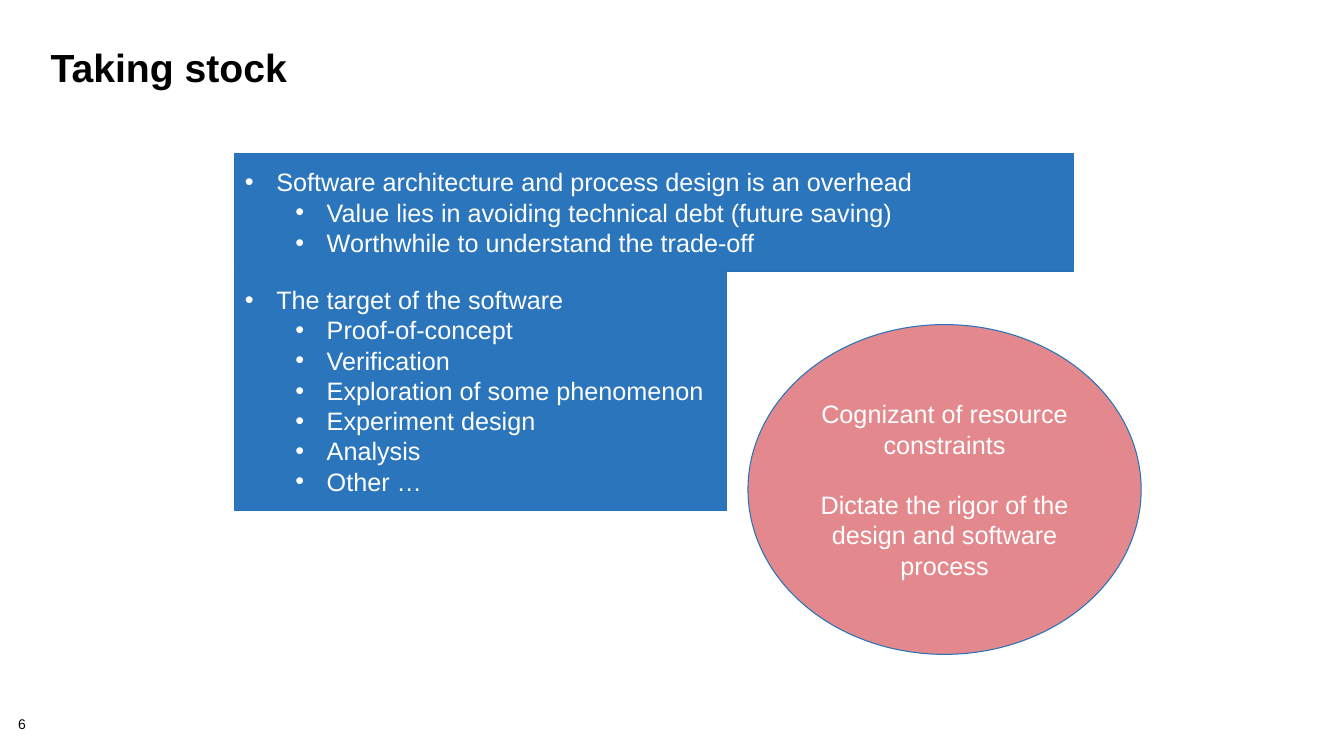
from dataclasses import dataclass
from typing import Any

import lxml.etree
import pptx
import pptx.dml.color
import pptx.enum.shapes
import pptx.enum.text
import pptx.oxml.ns
import pptx.util

Cm = pptx.util.Cm
Pt = pptx.util.Pt
ALIGN = pptx.enum.text.PP_ALIGN
ANCHOR = pptx.enum.text.MSO_ANCHOR

BLACK = pptx.dml.color.RGBColor(0x00, 0x00, 0x00)
WHITE = pptx.dml.color.RGBColor(0xFF, 0xFF, 0xFF)
BLUE = pptx.dml.color.RGBColor(0x2A, 0x75, 0xBB)
OUTLINE_BLUE = pptx.dml.color.RGBColor(0x26, 0x73, 0xBA)
PINK = pptx.dml.color.RGBColor(0xE3, 0x88, 0x8C)

FONT_NAME = "Arial"
HANGING = 0.79
LEVEL_INDENTS = (0.79, 2.06)
TWO_CONTENT_LAYOUT = 3


@dataclass
class Box:
    left: float
    top: float
    width: float
    height: float


@dataclass
class BulletList:
    box: Box
    heading: str
    items: list[str]


TITLE_BOX = Box(1.02, 1.14, 31.6, 2.54)
NUMBER_BOX = Box(0.46, 18.08, 1.42, 0.41)
CONSTRAINTS_BOX = Box(18.85, 8.18, 9.91, 8.31)

BULLET_LISTS = [
    BulletList(
        Box(5.92, 3.86, 21.13, 2.97),
        "Software architecture and process design is an overhead",
        [
            "Value lies in avoiding technical debt (future saving)",
            "Worthwhile to understand the trade-off",
        ],
    ),
    BulletList(
        Box(5.92, 6.81, 12.4, 6.05),
        "The target of the software",
        [
            "Proof-of-concept",
            "Verification",
            "Exploration of some phenomenon",
            "Experiment design",
            "Analysis",
            "Other …",
        ],
    ),
]
CONSTRAINTS = [
    "Cognizant of resource constraints",
    "Dictate the rigor of the design and software process",
]


def apply_format(target: Any, values: dict[str, Any]) -> None:
    for name, value in values.items():
        setattr(target, name, value)


def place(shape: Any, box: Box) -> None:
    apply_format(shape, {
        "left": Cm(box.left), "top": Cm(box.top),
        "width": Cm(box.width), "height": Cm(box.height),
    })


def prepare_frame(shape: Any, anchor: Any) -> Any:
    apply_format(shape.text_frame, {
        "word_wrap": True,
        "auto_size": pptx.enum.text.MSO_AUTO_SIZE.NONE,
        "vertical_anchor": anchor,
    })
    return shape.text_frame


def write(paragraph: Any, text: str, size: float, color: Any,
          bold: bool = False, **layout: Any) -> None:
    apply_format(paragraph, {
        "alignment": ALIGN.LEFT, "line_spacing": 1.0,
        "space_before": Pt(0), "space_after": Pt(0), **layout,
    })
    run = paragraph.add_run()
    run.text = text
    apply_format(run.font, {"name": FONT_NAME, "size": Pt(size), "bold": bold})
    run.font.color.rgb = color


def add_bullet(paragraph: Any, level: int) -> None:
    paragraph.level = level
    properties = paragraph._p.get_or_add_pPr()
    properties.set("marL", str(Cm(LEVEL_INDENTS[level])))
    properties.set("indent", str(-Cm(HANGING)))
    for tag, name, value in (("a:buFont", "typeface", FONT_NAME),
                             ("a:buChar", "char", "•")):
        element = lxml.etree.SubElement(properties, pptx.oxml.ns.qn(tag))
        element.set(name, value)


def paint(shape: Any, fill: Any) -> None:
    shape.fill.solid()
    shape.fill.fore_color.rgb = fill
    shape.line.color.rgb = OUTLINE_BLUE
    shape.line.width = Pt(0.75)


def fill_list(placeholder: Any, bullet_list: BulletList) -> None:
    place(placeholder, bullet_list.box)
    paint(placeholder, BLUE)
    frame = prepare_frame(placeholder, ANCHOR.MIDDLE)
    for index, text in enumerate([bullet_list.heading, *bullet_list.items]):
        paragraph = frame.add_paragraph() if index else frame.paragraphs[0]
        add_bullet(paragraph, min(index, 1))
        write(paragraph, text, 18, WHITE)


def add_constraints(slide: Any) -> None:
    ellipse = slide.shapes.add_shape(pptx.enum.shapes.MSO_SHAPE.OVAL, 0, 0, 0, 0)
    ellipse.shadow.inherit = False
    place(ellipse, CONSTRAINTS_BOX)
    paint(ellipse, PINK)
    frame = prepare_frame(ellipse, ANCHOR.MIDDLE)
    for index, text in enumerate(CONSTRAINTS):
        paragraph = frame.add_paragraph() if index else frame.paragraphs[0]
        write(paragraph, text, 18, WHITE, alignment=ALIGN.CENTER,
              space_before=Pt(21.6 * index))


def add_slide_number(slide: Any) -> None:
    number = slide.shapes.add_textbox(0, 0, 0, 0)
    place(number, NUMBER_BOX)
    frame = prepare_frame(number, ANCHOR.TOP)
    apply_format(frame, {f"margin_{side}": 0
                         for side in ("left", "top", "right", "bottom")})
    write(frame.paragraphs[0], "6", 10, BLACK, line_spacing=0.9)


def main() -> None:
    presentation = pptx.Presentation()
    presentation.slide_width = Cm(33.87)
    presentation.slide_height = Cm(19.05)
    slide = presentation.slides.add_slide(
        presentation.slide_layouts[TWO_CONTENT_LAYOUT])

    # Title
    title = slide.shapes.title
    place(title, TITLE_BOX)
    frame = prepare_frame(title, ANCHOR.TOP)
    write(frame.paragraphs[0], "Taking stock", 28, BLACK, bold=True,
          line_spacing=0.85)

    # Bullet lists
    for index, bullet_list in enumerate(BULLET_LISTS, start=1):
        fill_list(slide.placeholders[index], bullet_list)

    # Constraints ellipse and slide number
    add_constraints(slide)
    add_slide_number(slide)

    presentation.save("out.pptx")


if __name__ == "__main__":
    main()
